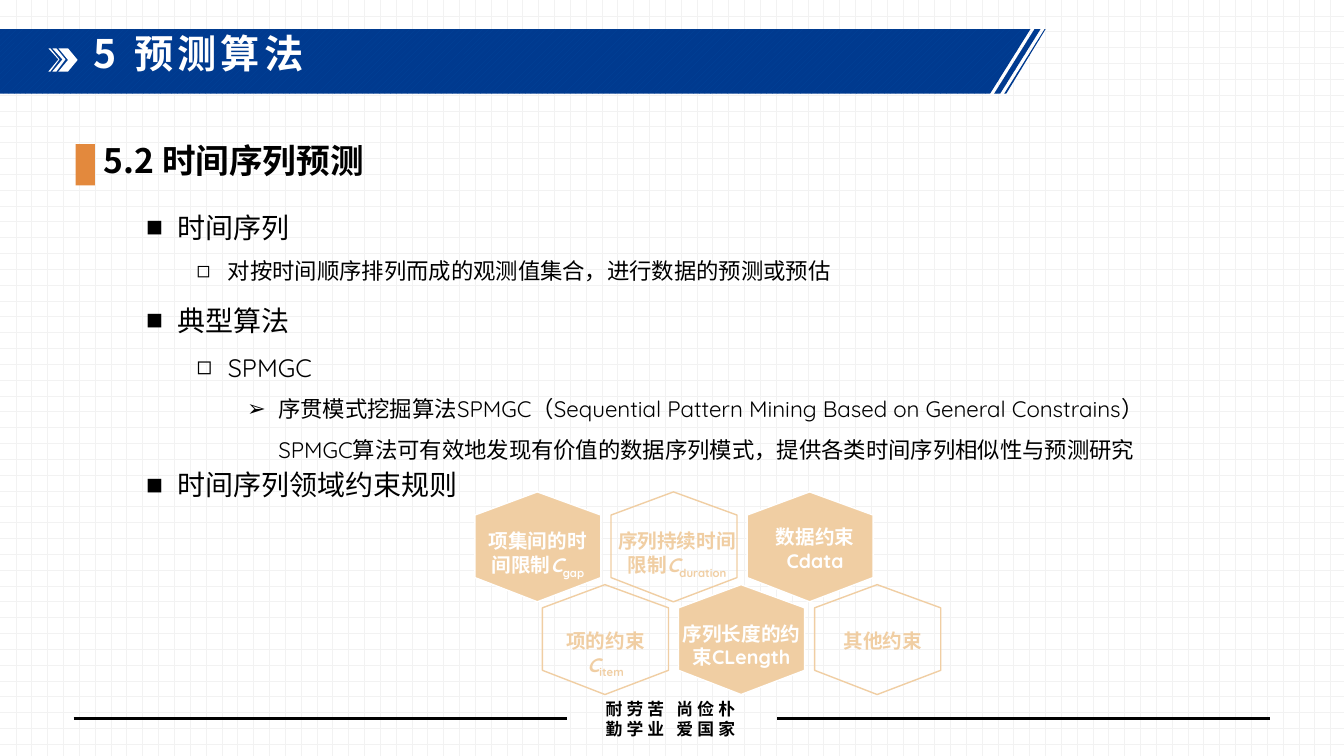
from dataclasses import dataclass
from typing import NamedTuple

from lxml.etree import SubElement
from pptx import Presentation
from pptx.dml.color import RGBColor
from pptx.enum.dml import MSO_PATTERN
from pptx.enum.shapes import MSO_CONNECTOR, MSO_SHAPE
from pptx.enum.text import MSO_ANCHOR, MSO_AUTO_SIZE, PP_ALIGN
from pptx.oxml.ns import qn
from pptx.util import Emu, Pt

SCALE = 9144


@dataclass(frozen=True)
class Theme:
    sans: str = "Noto Sans CJK SC"
    round: str = "Quicksand"
    ink: str = "000000"
    paper: str = "FFFFFF"
    grid: str = "F2F2F2"
    navy: str = "003A8F"
    stripe: str = "00449A"
    orange: str = "E3893D"
    sand: str = "F0CEA3"
    title: int = 28
    head: int = 24
    item: int = 20
    sub: int = 18
    note: int = 16
    label: int = 14
    motto: int = 12


class Box(NamedTuple):
    x: int
    y: int
    w: int
    h: int


THEME = Theme()
BULLETS = "■◻➢"
LISTS = [
    (Box(135, 187, 797, 96), 1.5, [
        (0, THEME.item, "时间序列"),
        (1, THEME.note, "对按时间顺序排列而成的观测值集合，进行数据的预测或预估")]),
    (Box(135, 279, 1060, 182), 1.5, [
        (0, THEME.item, "典型算法"),
        (1, THEME.sub, "SPMGC"),
        (2, THEME.note, "序贯模式挖掘算法SPMGC（Sequential Pattern Mining Based on "
         "General Constrains）SPMGC算法可有效地发现有价值的数据序列模式，"
         "提供各类时间序列相似性与预测研究")]),
    (Box(135, 459, 338, 44), 1.0, [
        (0, THEME.item, "时间序列领域约束规则")]),
]
LABELS = [
    (Box(1, 32, 123, 57), [["项集间的时间限制", "C", "gap"]]),
    (Box(-6, 32, 143, 57), [["序列持续时间"], ["限制", "C", "duration"]]),
    (Box(18, 28, 99, 57), [["数据约束"], ["Cdata"]]),
    (Box(-2, 39, 129, 57), [["项的约束", "C", "item"]]),
    (Box(-12, 32, 149, 57), [["序列长度的约束CLength"]]),
    (Box(18, 39, 99, 34), [["其他约束"]]),
]


def px(n):
    return Emu(int(n * SCALE))


def rgb(code):
    return RGBColor.from_string(code)


def paint(shape, fill=None, line=None, width=1):
    shape.shadow.inherit = False
    if fill:
        shape.fill.solid()
        shape.fill.fore_color.rgb = rgb(fill)
    else:
        shape.fill.background()
    if line:
        shape.line.color.rgb = rgb(line)
        shape.line.width = Pt(width)
    else:
        shape.line.fill.background()


def hatch(fill, kind, fore, back):
    fill.patterned()
    fill.pattern = kind
    fill.fore_color.rgb = rgb(fore)
    fill.back_color.rgb = rgb(back)


def outline(shapes, box, *paths):
    moved = [[(box.x + x, box.y + y) for x, y in path] for path in paths]
    pen = shapes.build_freeform(*moved[0][0], scale=SCALE)
    for n, path in enumerate(moved):
        if n:
            pen.move_to(*path[0])
        pen.add_line_segments(path[1:], close=True)
    return pen.convert_to_shape()


def place(shape, box):
    for name, n in zip(("left", "top", "width", "height"), box):
        setattr(shape, name, px(n))


def frame(shape, **look):
    text = shape.text_frame
    base = dict(auto_size=MSO_AUTO_SIZE.NONE, word_wrap=True,
                vertical_anchor=MSO_ANCHOR.TOP, margin_left=px(10),
                margin_right=px(10), margin_top=px(5), margin_bottom=px(5))
    for name, value in {**base, **look}.items():
        setattr(text, name, value)
    return text


def line(text, n, **look):
    para = text.add_paragraph() if n else text.paragraphs[0]
    base = dict(alignment=PP_ALIGN.LEFT, line_spacing=1.0,
                space_before=Pt(0), space_after=Pt(0))
    for name, value in {**base, **look}.items():
        setattr(para, name, value)
    return para


def write(para, words, size, color, face, extra=None, **look):
    run = para.add_run()
    run.text = words
    base = dict(name=face, size=Pt(size), bold=True, italic=False)
    for name, value in {**base, **look}.items():
        setattr(run.font, name, value)
    run.font.color.rgb = rgb(color)
    props = run._r.get_or_add_rPr()
    SubElement(props, qn("a:ea")).set("typeface", face)
    for name, value in (extra or {}).items():
        props.set(name, value)


def banner(shapes, box):
    w, h = box.w, box.h
    bar = outline(shapes, box,
                  [(0, 0), (w - 15, 0), (w - 55, h), (0, h)],
                  [(w - 11, 0), (w - 5, 0), (w - 45, h), (w - 51, h)],
                  [(w - 1, 0), (w, 0), (w - 39, h), (w - 41, h)])
    paint(bar)
    hatch(bar.fill, MSO_PATTERN.WIDE_UPWARD_DIAGONAL, THEME.stripe, THEME.navy)
    tip = shapes.add_shape(MSO_SHAPE.CHEVRON, px(box.x + 58), px(box.y + 19),
                           px(19), px(23))
    paint(tip, THEME.paper)
    for x, thick in ((52, 4), (48, 2)):
        arm = outline(shapes, Box(box.x + x, box.y + 19, 13, 23),
                      [(0, 0), (thick, 0), (thick + 9, 11), (thick, 23),
                       (0, 23), (10, 11)])
        paint(arm, THEME.paper)


def heads(shapes, title, head, box):
    place(title, Box(box.x - 3, box.y - 109, 831, 56))
    text = frame(title, margin_left=px(21), margin_top=0)
    write(line(text, 0, line_spacing=0.9), "5 预测算法", THEME.title,
          THEME.paper, THEME.sans, {"spc": "300"})
    mark = shapes.add_shape(MSO_SHAPE.RECTANGLE, px(box.x), px(box.y),
                            px(19), px(box.h))
    paint(mark, THEME.orange)
    place(head, Box(box.x + 18, box.y, box.w - 18, box.h))
    write(line(frame(head, margin_top=0), 0, line_spacing=0.9),
          "5.2 时间序列预测", THEME.head, THEME.ink, THEME.sans)


def outlist(holder, box, gap, items):
    place(holder, box)
    text = frame(holder)
    for n, (level, size, words) in enumerate(items):
        para = line(text, n, line_spacing=gap, level=level)
        props = para._p.get_or_add_pPr()
        props.set("marL", str(px(31 + 50 * level)))
        props.set("indent", str(px(-31)))
        SubElement(props, qn("a:buChar")).set("char", BULLETS[level])
        write(para, words, size, THEME.ink, THEME.round, bold=False)


def label(shapes, box, rows, color):
    area = shapes.add_textbox(*map(px, box))
    text = frame(area, word_wrap=box.w > 99)
    kinds = [({}, False), ({}, True), ({"baseline": "-25000"}, False)]
    for n, row in enumerate(rows):
        para = line(text, n, alignment=PP_ALIGN.CENTER)
        for words, (extra, slant) in zip(row, kinds):
            write(para, words, THEME.label, color, THEME.round, extra, italic=slant)


def comb(shapes, box):
    hexes = [(62, 0), (125, 23), (125, 85), (62, 109), (0, 85), (0, 23)]
    for n, (spot, rows) in enumerate(LABELS):
        row, col = divmod(n, 3)
        x, y = box.x + 135 * col + 67 * row, box.y + 92 * row
        full = n % 2 == 0
        cell = outline(shapes, Box(x, y, 125, 109), hexes)
        paint(cell, THEME.sand if full else None,
              THEME.paper if full else THEME.sand)
        label(shapes, spot._replace(x=x + spot.x, y=y + spot.y), rows,
              THEME.paper if full else THEME.sand)


def footer(shapes, box):
    mid = box.y + box.h // 2
    for x in (box.x, box.x + box.w - 489):
        rule = shapes.add_connector(MSO_CONNECTOR.STRAIGHT, px(x), px(mid),
                                    px(x + 489), px(mid))
        rule.line.color.rgb = rgb(THEME.ink)
        rule.line.width = Pt(2)
        SubElement(rule._element.spPr, qn("a:effectLst"))
    area = shapes.add_textbox(px(box.x + 488), px(box.y), px(208), px(box.h))
    text = frame(area, vertical_anchor=MSO_ANCHOR.MIDDLE)
    for n, words in enumerate(("耐劳苦 尚俭朴", "勤学业 爱国家")):
        write(line(text, n, alignment=PP_ALIGN.CENTER), words, THEME.motto,
              THEME.ink, THEME.sans, {"spc": "300"})


def main():
    deck = Presentation()
    deck.slide_width, deck.slide_height = px(1333), px(750)
    slide = deck.slides.add_slide(deck.slide_layouts[4])
    shapes = slide.shapes
    hatch(slide.background.fill, MSO_PATTERN.DOTTED_GRID, THEME.grid, THEME.paper)
    title, head, *bodies = list(slide.placeholders)
    banner(shapes, Box(0, 29, 1037, 64))
    footer(shapes, Box(73, 688, 1187, 50))
    heads(shapes, title, head, Box(75, 143, 1185, 41))
    for holder, part in zip(bodies, LISTS):
        outlist(holder, *part)
    for holder in (title, head, *bodies):
        shapes.element.append(holder.element)
    comb(shapes, Box(471, 488, 462, 201))
    deck.save("out.pptx")


if __name__ == "__main__":
    main()
